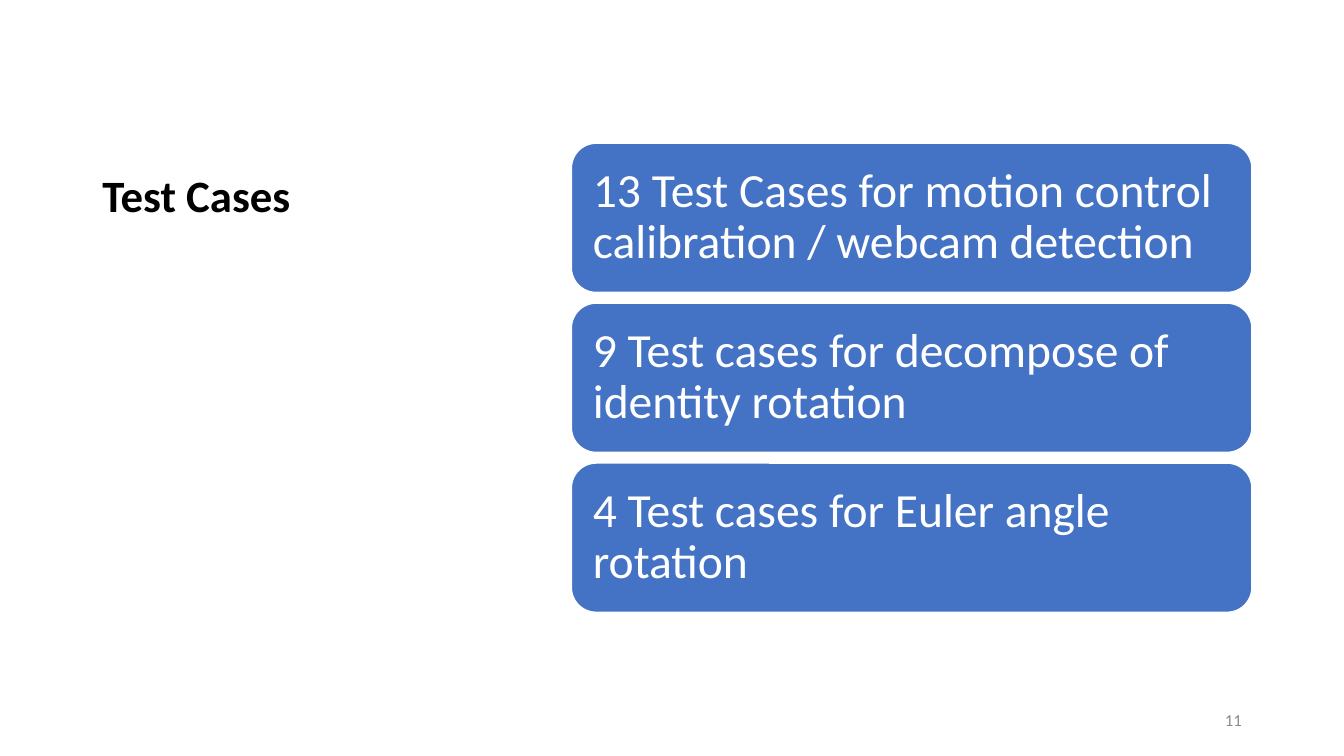
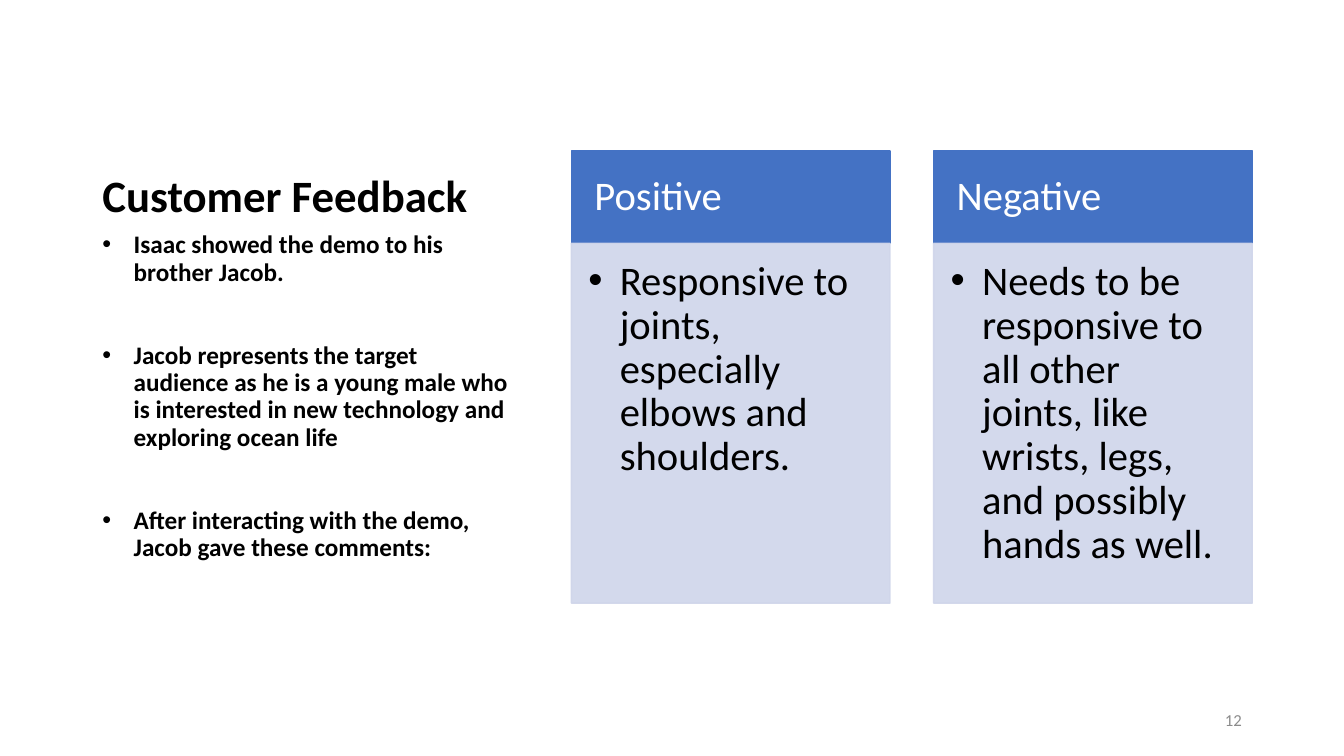
from lxml import etree
from pptx import Presentation
from pptx.dml.color import RGBColor
from pptx.enum.shapes import MSO_SHAPE
from pptx.enum.text import MSO_ANCHOR, MSO_AUTO_SIZE, PP_ALIGN
from pptx.oxml.ns import qn
from pptx.util import Cm, Pt

RECT, ROUNDED = MSO_SHAPE.RECTANGLE, MSO_SHAPE.ROUNDED_RECTANGLE
TOP, MIDDLE, BOTTOM = MSO_ANCHOR.TOP, MSO_ANCHOR.MIDDLE, MSO_ANCHOR.BOTTOM
LEFT, RIGHT = PP_ALIGN.LEFT, PP_ALIGN.RIGHT
NO_AUTOFIT = MSO_AUTO_SIZE.NONE

FONT = "Calibri"
BLACK, WHITE, GREY = "000000", "FFFFFF", "8C8C8C"
BLUE, PALE_BLUE = "4472C4", "CFD5EA"
DEFAULT_INSETS = (0.25, 0.13, 0.25, 0.13)
BULLET_INDENT = Cm(0.79)

TEXT_LEFT, TEXT_WIDTH = 2.33, 10.92
PANEL_LEFT = 14.4


def rgb(color):
    return RGBColor.from_string(color)


def set_opacity(sp, percent):
    for color in sp._element.spPr.iter(qn("a:srgbClr")):
        etree.SubElement(color, qn("a:alpha")).set("val", str(percent * 1000))


def add_bullet(p):
    """Give the paragraph a round bullet; call after its spacing is set."""
    pPr = p._p.get_or_add_pPr()
    pPr.set("marL", str(BULLET_INDENT))
    pPr.set("indent", str(-BULLET_INDENT))
    etree.SubElement(pPr, qn("a:buFont")).set("typeface", "Arial")
    etree.SubElement(pPr, qn("a:buChar")).set("char", "•")


class Deck:
    def __init__(self):
        self.prs = Presentation()
        self.prs.slide_width, self.prs.slide_height = Cm(33.87), Cm(19.05)
        self.s = None

    def slide(self, title, number):
        self.s = self.prs.slides.add_slide(self.prs.slide_layouts[5])
        sp = self.s.shapes.title
        sp.left, sp.top = Cm(TEXT_LEFT), Cm(1.27)
        sp.width, sp.height = Cm(TEXT_WIDTH), Cm(4.45)
        self.set_text(sp, [title], 32, BLACK, bold=True, anchor=BOTTOM)
        self.text([str(number)], 23.93, 17.65, 7.62, 1.02, 12, GREY,
                  anchor=MIDDLE, align=RIGHT)

    def set_text(self, sp, lines, size, color, bold=False, anchor=TOP,
                 align=LEFT, bullets=False, gap=0, insets=DEFAULT_INSETS):
        """Fill a shape with paragraphs, gap points apart, insets in cm."""
        tf = sp.text_frame
        tf.text = "\n".join(lines)
        tf.word_wrap, tf.auto_size = True, NO_AUTOFIT
        tf.vertical_anchor = anchor
        (tf.margin_left, tf.margin_top,
         tf.margin_right, tf.margin_bottom) = map(Cm, insets)
        for i, p in enumerate(tf.paragraphs):
            p.alignment, p.line_spacing = align, 0.9
            p.space_before = Pt(gap if i else 0)
            if bullets:
                add_bullet(p)
            for r in p.runs:
                r.font.name, r.font.size, r.font.bold = FONT, Pt(size), bold
                r.font.color.rgb = rgb(color)

    def text(self, lines, x, y, w, h, size, color, **style):
        sp = self.s.shapes.add_textbox(Cm(x), Cm(y), Cm(w), Cm(h))
        self.set_text(sp, lines, size, color, **style)

    def box(self, kind, text, x, y, w, h, fill, line, size, color,
            opacity=100, **style):
        sp = self.s.shapes.add_shape(kind, Cm(x), Cm(y), Cm(w), Cm(h))
        sp.shadow.inherit = False
        sp.fill.solid()
        sp.fill.fore_color.rgb = rgb(fill)
        sp.line.color.rgb, sp.line.width = rgb(line), Pt(1)
        if opacity < 100:
            set_opacity(sp, opacity)
        self.set_text(sp, [text], size, color, **style)

    def card(self, text, y):
        self.box(ROUNDED, text, PANEL_LEFT, y, 17.15, 3.76, BLUE, WHITE,
                 34, WHITE, anchor=MIDDLE, insets=(0.36,) * 4)

    def column(self, heading, text, x):
        top, width, head_height = 3.81, 8.03, 2.32
        self.box(RECT, heading, x, top, width, head_height, BLUE, BLUE,
                 29, WHITE, anchor=MIDDLE, insets=(0.58, 0.33, 0.58, 0.33))
        self.box(RECT, text, x, top + head_height, width, 9.07,
                 PALE_BLUE, PALE_BLUE, 29, BLACK, opacity=90, bullets=True,
                 insets=(0.43, 0.43, 0.58, 0.64))


def main():
    deck = Deck()

    deck.slide("Test Cases", 11)
    cases = ["13 Test Cases for motion control calibration / webcam detection",
             "9 Test cases for decompose of identity rotation",
             "4 Test cases for Euler angle rotation"]
    for i, case in enumerate(cases):
        deck.card(case, 3.61 + i * 4.03)

    deck.slide("Customer Feedback", 12)
    columns = [
        ("Positive", "Responsive to joints, especially elbows and shoulders."),
        ("Negative", "Needs to be responsive to all other joints, like wrists, "
                     "legs, and possibly hands as well."),
    ]
    for i, (heading, text) in enumerate(columns):
        deck.column(heading, text, PANEL_LEFT + i * 9.13)
    story = ["Isaac showed the demo to his brother Jacob.",
             "Jacob represents the target audience as he is a young male "
             "who is interested in new technology and exploring ocean life",
             "After interacting with the demo, Jacob gave these comments:"]
    deck.text(story, TEXT_LEFT, 5.72, TEXT_WIDTH, 10.59, 18, BLACK,
              bold=True, bullets=True, gap=40)

    deck.prs.save("out.pptx")


if __name__ == "__main__":
    main()
